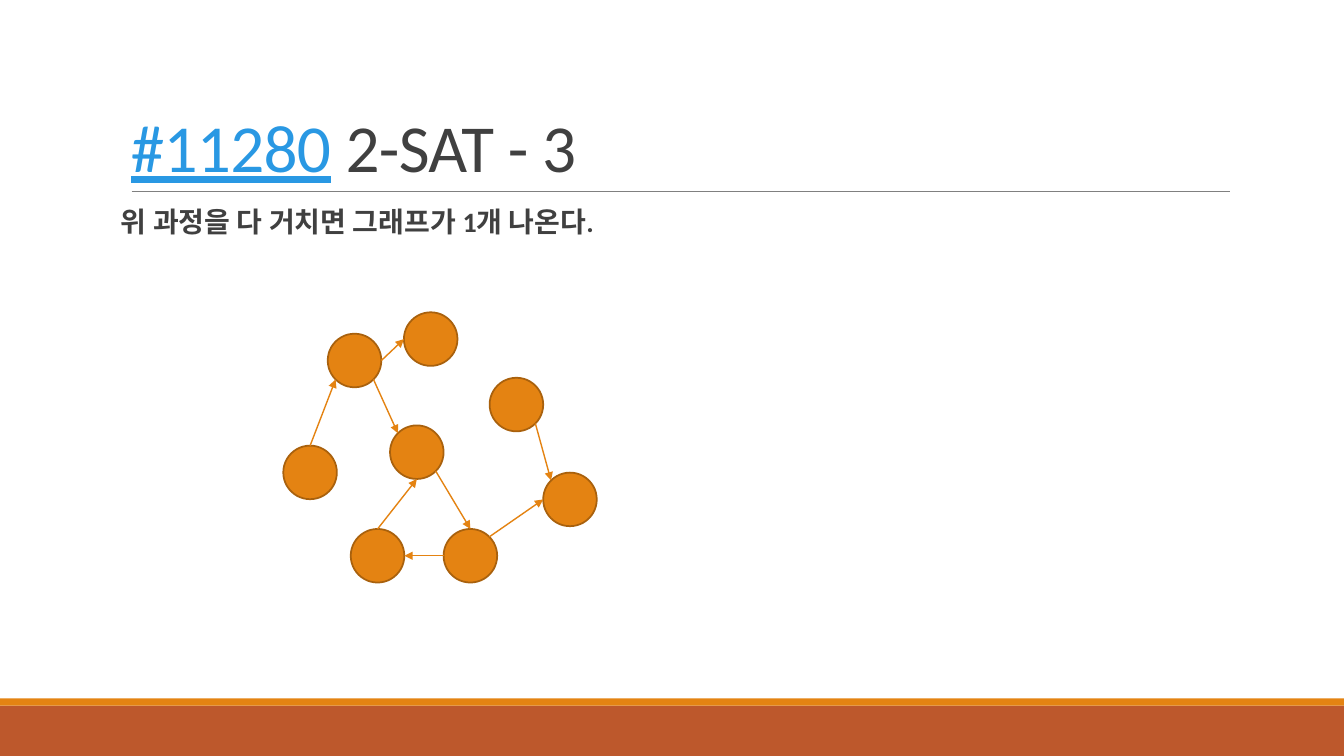
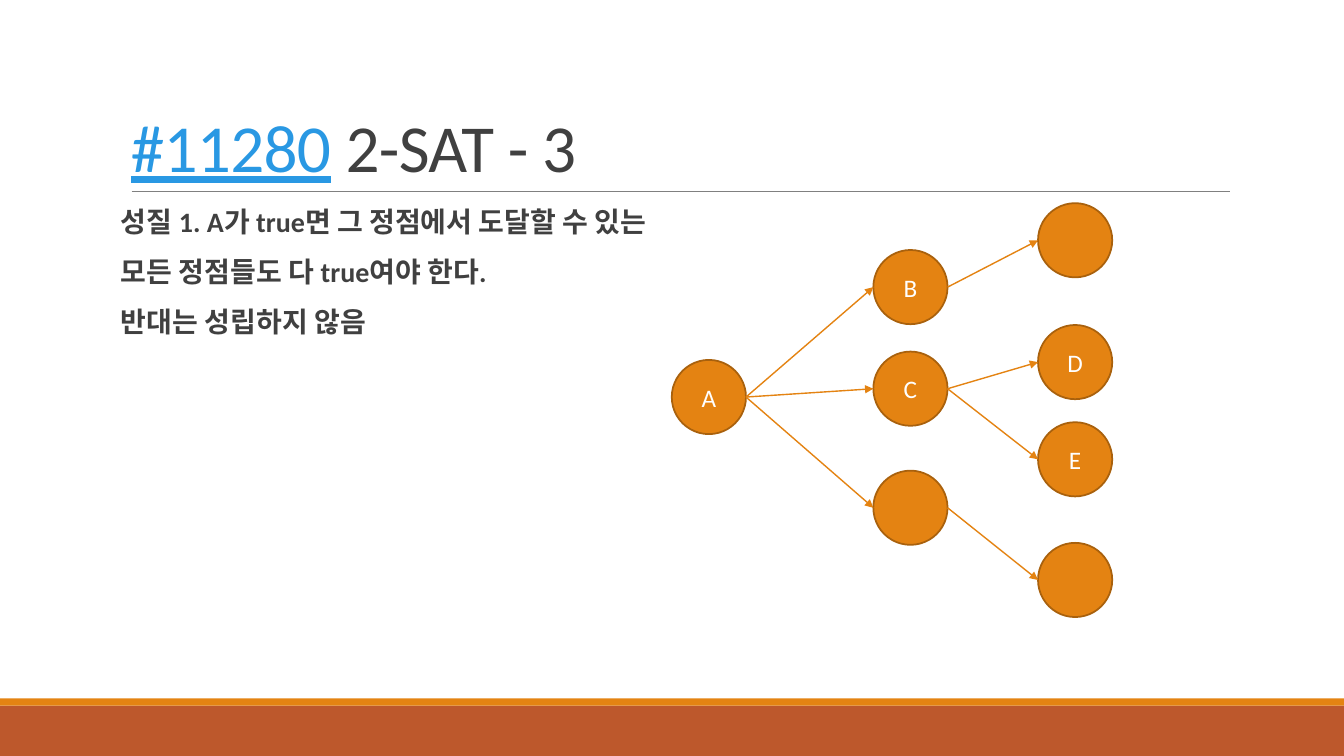
from math import cos, radians, sin

from lxml.etree import SubElement
from pptx import Presentation
from pptx.dml.color import RGBColor
from pptx.enum.shapes import MSO_CONNECTOR, MSO_SHAPE
from pptx.enum.text import MSO_ANCHOR, PP_ALIGN
from pptx.oxml.ns import qn
from pptx.util import Cm, Pt

COLORS = {
    "band": "BD582C",
    "accent": "E48312",
    "outline": "A9610D",
    "rule": "808080",
    "link": "2998E3",
    "text": "404040",
    "white": "FFFFFF",
}
FONT = "Calibri"
WIDTH, HEIGHT = 33.87, 19.05
BOX_LEFT, BOX_WIDTH = 3.05, 27.94

TITLE_FRAME = {"word_wrap": True, "vertical_anchor": MSO_ANCHOR.BOTTOM}
BODY_FRAME = {"word_wrap": True, "margin_left": 0, "margin_right": 0}
NODE_FRAME = {"word_wrap": True, "vertical_anchor": MSO_ANCHOR.MIDDLE}
TITLE_PARA = {"line_spacing": 0.85}
BODY_PARA = {"line_spacing": 0.9, "space_before": Pt(12), "space_after": Pt(2)}
NODE_PARA = {"alignment": PP_ALIGN.CENTER}
TITLE_FONT = {"name": FONT, "size": Pt(48)}
BODY_FONT = {"name": FONT, "size": Pt(20), "bold": True}
NODE_FONT = {"name": FONT, "size": Pt(18)}

# Degrees clockwise from the right-hand side of a circle
ANGLES = {"right": 0, "bottom right": 45, "bottom": 90, "bottom left": 135,
          "left": 180, "top left": 225, "top": 270, "top right": 315}

# Nodes: key -> (left, top, label); edges: (from, side, to, side)
GRAPH_SIZE = 1.35
GRAPH_NODES = {
    "start": (7.14, 11.23, ""),
    "upper": (8.26, 8.41, ""),
    "peak": (10.18, 7.87, ""),
    "center": (9.83, 10.72, ""),
    "low left": (8.84, 13.33, ""),
    "low right": (11.18, 13.33, ""),
    "source": (12.34, 9.52, ""),
    "sink": (13.69, 11.91, ""),
}
GRAPH_EDGES = [
    ("start", "top", "upper", "bottom left"),
    ("upper", "right", "peak", "left"),
    ("upper", "bottom right", "center", "top left"),
    ("low left", "top", "center", "bottom"),
    ("center", "bottom right", "low right", "top"),
    ("low right", "left", "low left", "right"),
    ("low right", "top right", "sink", "left"),
    ("source", "bottom right", "sink", "top left"),
]

TREE_SIZE = 1.87
COL_1, COL_2, COL_3 = 16.93, 22.01, 26.16
TREE_NODES = {
    "A": (COL_1, 9.07, "A"),
    "B": (COL_2, 6.3, "B"),
    "C": (COL_2, 8.86, "C"),
    "lower": (COL_2, 11.86, ""),
    "top leaf": (COL_3, 5.12, ""),
    "D": (COL_3, 8.19, "D"),
    "E": (COL_3, 10.64, "E"),
    "bottom leaf": (COL_3, 13.68, ""),
}
TREE_LINKS = ["A>B", "A>C", "A>lower", "B>top leaf", "C>D", "C>E",
              "lower>bottom leaf"]


def rgb(name):
    return RGBColor.from_string(COLORS[name])


def apply(target, values):
    for name, value in values.items():
        setattr(target, name, value)


def add_run(p, text, font, color):
    r = p.add_run()
    r.text = text
    apply(r.font, font)
    r.font.color.rgb = rgb(color)
    return r


def add_text_box(s, top, height, frame):
    tf = s.shapes.add_textbox(Cm(BOX_LEFT), Cm(top), Cm(BOX_WIDTH), Cm(height)).text_frame
    apply(tf, frame)
    return tf


def add_filled(s, kind, left, top, width, height, color):
    sp = s.shapes.add_shape(kind, Cm(left), Cm(top), Cm(width), Cm(height))
    sp.shadow.inherit = False
    sp.fill.solid()
    sp.fill.fore_color.rgb = rgb(color)
    sp.line.fill.background()
    return sp


def add_line(s, start, end, color, width, arrow=False):
    sp = s.shapes.add_connector(MSO_CONNECTOR.STRAIGHT, *map(Cm, start + end))
    sp.line.color.rgb = rgb(color)
    sp.line.width = Pt(width)
    if arrow:
        SubElement(sp.line._get_or_add_ln(), qn("a:tailEnd"), type="triangle")
    SubElement(sp._element.spPr, qn("a:effectLst"))


def add_title(s):
    p = add_text_box(s, 0.79, 4.03, TITLE_FRAME).paragraphs[0]
    apply(p, TITLE_PARA)
    runs = [add_run(p, "#11280", {**TITLE_FONT, "underline": True}, "link"),
            add_run(p, " 2-SAT - 3", TITLE_FONT, "text")]
    for r in runs:
        r.font._element.set("spc", "-50")


def add_body(s, lines):
    tf = add_text_box(s, 5.13, 11.18, BODY_FRAME)
    for i, line in enumerate(lines):
        p = tf.add_paragraph() if i else tf.paragraphs[0]
        apply(p, BODY_PARA)
        add_run(p, line, BODY_FONT, "text")


def add_node(s, left, top, size, label):
    sp = add_filled(s, MSO_SHAPE.OVAL, left, top, size, size, "accent")
    sp.line.color.rgb = rgb("outline")
    sp.line.width = Pt(1.25)
    if label:
        apply(sp.text_frame, NODE_FRAME)
        p = sp.text_frame.paragraphs[0]
        apply(p, NODE_PARA)
        add_run(p, label, NODE_FONT, "white")


def rim_point(node, size, side):
    left, top, _ = node
    angle, radius = radians(ANGLES[side]), size / 2
    return (left + radius * (1 + cos(angle)), top + radius * (1 + sin(angle)))


def add_graph(s, nodes, edges, size):
    for left, top, label in nodes.values():
        add_node(s, left, top, size, label)
    for source, out_side, target, in_side in edges:
        add_line(s, rim_point(nodes[source], size, out_side),
                 rim_point(nodes[target], size, in_side), "accent", 1, arrow=True)


def add_slide(prs, lines):
    s = prs.slides.add_slide(prs.slide_layouts[6])
    # Bottom bands and title rule
    add_filled(s, MSO_SHAPE.RECTANGLE, 0, 17.78, WIDTH, 1.27, "band")
    add_filled(s, MSO_SHAPE.RECTANGLE, 0, 17.6, WIDTH, 0.18, "accent")
    add_line(s, (3.32, 4.83), (31.0, 4.83), "rule", 0.5)
    # Text
    add_title(s)
    add_body(s, lines)
    return s


def main():
    prs = Presentation()
    prs.slide_width, prs.slide_height = Cm(WIDTH), Cm(HEIGHT)

    # Resulting graph
    s = add_slide(prs, ["위 과정을 다 거치면 그래프가 1개 나온다."])
    add_graph(s, GRAPH_NODES, GRAPH_EDGES, GRAPH_SIZE)

    # Reachability from A
    s = add_slide(prs, ["성질 1. A가 true면 그 정점에서 도달할 수 있는",
                        "모든 정점들도 다 true여야 한다.",
                        "반대는 성립하지 않음"])
    edges = []
    for link in TREE_LINKS:
        source, target = link.split(">")
        edges.append((source, "right", target, "left"))
    add_graph(s, TREE_NODES, edges, TREE_SIZE)

    prs.save("out.pptx")


main()
